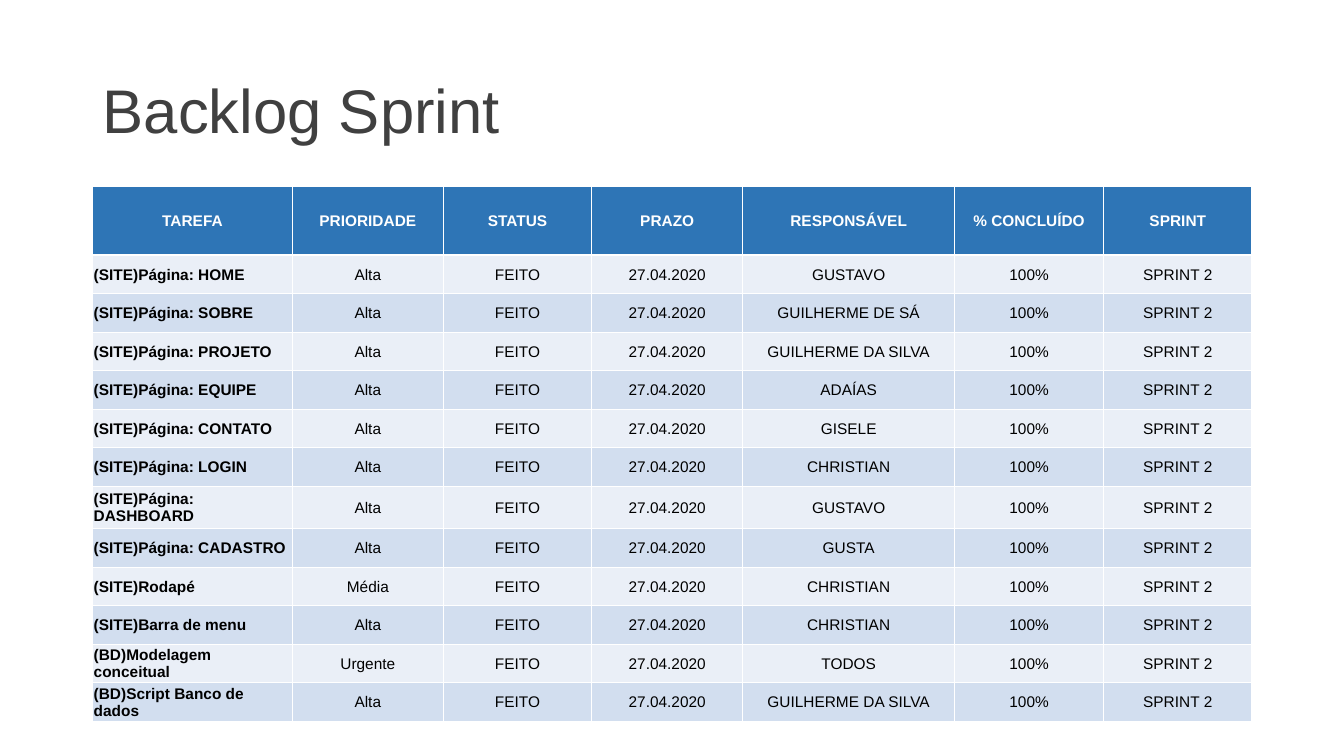
from lxml import etree
from pptx import Presentation
from pptx.dml.color import RGBColor
from pptx.enum.text import MSO_ANCHOR, PP_ALIGN
from pptx.oxml.ns import qn
from pptx.util import Inches, Pt

LEFT, CENTER = PP_ALIGN.LEFT, PP_ALIGN.CENTER
MIDDLE = MSO_ANCHOR.MIDDLE

WHITE = RGBColor(0xFF, 0xFF, 0xFF)
BLACK = RGBColor(0x00, 0x00, 0x00)
CHARCOAL = RGBColor(0x40, 0x40, 0x40)
HEADER_BLUE = RGBColor(0x2E, 0x75, 0xB6)
BANDS = (RGBColor(0xEA, 0xEF, 0xF7), RGBColor(0xD2, 0xDE, 0xEF))

TITLE_ONLY = 5

# Shares of the slide's width (columns) and height (rows), in percent
MARGIN_LEFT = 6.9
COLUMN_SHARES = (14.85, 11.25, 11.03, 11.25, 15.75, 11.1, 11.03)
HEADER_SHARE, TASK_SHARE, TALL_TASK_SHARE = 9.07, 5.1, 5.6
TALL_TASK = "(SITE)Página: DASHBOARD"

HEADINGS = ("TAREFA", "PRIORIDADE", "STATUS", "PRAZO", "RESPONSÁVEL",
            "% CONCLUÍDO", "SPRINT")
TASKS = (
    ("(SITE)Página: HOME", "Alta", "GUSTAVO"),
    ("(SITE)Página: SOBRE", "Alta", "GUILHERME DE SÁ"),
    ("(SITE)Página: PROJETO", "Alta", "GUILHERME DA SILVA"),
    ("(SITE)Página: EQUIPE", "Alta", "ADAÍAS"),
    ("(SITE)Página: CONTATO", "Alta", "GISELE"),
    ("(SITE)Página: LOGIN", "Alta", "CHRISTIAN"),
    (TALL_TASK, "Alta", "GUSTAVO"),
    ("(SITE)Página: CADASTRO", "Alta", "GUSTA"),
    ("(SITE)Rodapé", "Média", "CHRISTIAN"),
    ("(SITE)Barra de menu", "Alta", "CHRISTIAN"),
    ("(BD)Modelagem conceitual", "Urgente", "TODOS"),
    ("(BD)Script Banco de dados", "Alta", "GUILHERME DA SILVA"),
)


def write_text(frame, text, size=11, color=BLACK, bold=False, align=CENTER,
               font="Arial", line_spacing=None):
    paragraph = frame.paragraphs[0]
    paragraph.alignment = align
    paragraph.line_spacing = line_spacing
    run = paragraph.add_run()
    run.text = text
    run.font.name = font
    run.font.size = Pt(size)
    run.font.bold = bold
    run.font.color.rgb = color


class BacklogSlide:
    """Holds the slide, its percentage grid and the table style."""

    border_width = Pt(1)
    cell_inset = Inches(0.01)

    def __init__(self, presentation):
        self.width = presentation.slide_width
        self.height = presentation.slide_height
        layout = presentation.slide_layouts[TITLE_ONLY]
        self.slide = presentation.slides.add_slide(layout)

    def across(self, share):
        return round(self.width * share / 100)

    def down(self, share):
        return round(self.height * share / 100)

    def title(self, text, left, top, width, height):
        heading = self.slide.shapes.title
        heading.left, heading.top = self.across(left), self.down(top)
        heading.width, heading.height = self.across(width), self.down(height)
        heading.text_frame.vertical_anchor = MIDDLE
        write_text(heading.text_frame, text, size=44, color=CHARCOAL,
                   align=LEFT, line_spacing=0.9)

    def table(self, records, left, top, column_shares, row_shares):
        """Draw a header row, then banded rows with a bold first column."""
        table = self.slide.shapes.add_table(
            len(records), len(column_shares), self.across(left),
            self.down(top), self.across(sum(column_shares)),
            self.down(sum(row_shares))).table
        for column, share in zip(table.columns, column_shares):
            column.width = self.across(share)
        for row, share in zip(table.rows, row_shares):
            row.height = self.down(share)
        for row_index, record in enumerate(records):
            is_header = row_index == 0
            fill = HEADER_BLUE if is_header else BANDS[(row_index - 1) % 2]
            for column_index, text in enumerate(record):
                is_task = column_index == 0 and not is_header
                cell = table.cell(row_index, column_index)
                self.style_cell(cell, fill)
                write_text(cell.text_frame, text,
                           color=WHITE if is_header else BLACK,
                           bold=is_header or is_task,
                           align=LEFT if is_task else CENTER)

    def style_cell(self, cell, fill):
        cell.vertical_anchor = MIDDLE
        cell.margin_left = cell.margin_right = self.cell_inset
        cell.margin_top, cell.margin_bottom = self.cell_inset, 0
        properties = cell._tc.get_or_add_tcPr()
        for side in ("a:lnL", "a:lnR", "a:lnT", "a:lnB"):
            border = etree.SubElement(properties, qn(side),
                                      w=str(self.border_width))
            paint = etree.SubElement(border, qn("a:solidFill"))
            etree.SubElement(paint, qn("a:srgbClr"), val=str(WHITE))
        cell.fill.solid()
        cell.fill.fore_color.rgb = fill


def main():
    presentation = Presentation()
    presentation.slide_width = Inches(13.33)
    presentation.slide_height = Inches(7.5)

    backlog = BacklogSlide(presentation)
    backlog.title("Backlog Sprint", MARGIN_LEFT, 5.33,
                  sum(COLUMN_SHARES), 19.33)
    records = [HEADINGS] + [
        (task, priority, "FEITO", "27.04.2020", owner, "100%", "SPRINT 2")
        for task, priority, owner in TASKS]
    row_shares = [HEADER_SHARE] + [
        TALL_TASK_SHARE if task == TALL_TASK else TASK_SHARE
        for task, _, _ in TASKS]
    backlog.table(records, MARGIN_LEFT, 24.67, COLUMN_SHARES, row_shares)

    presentation.save("out.pptx")


if __name__ == "__main__":
    main()
